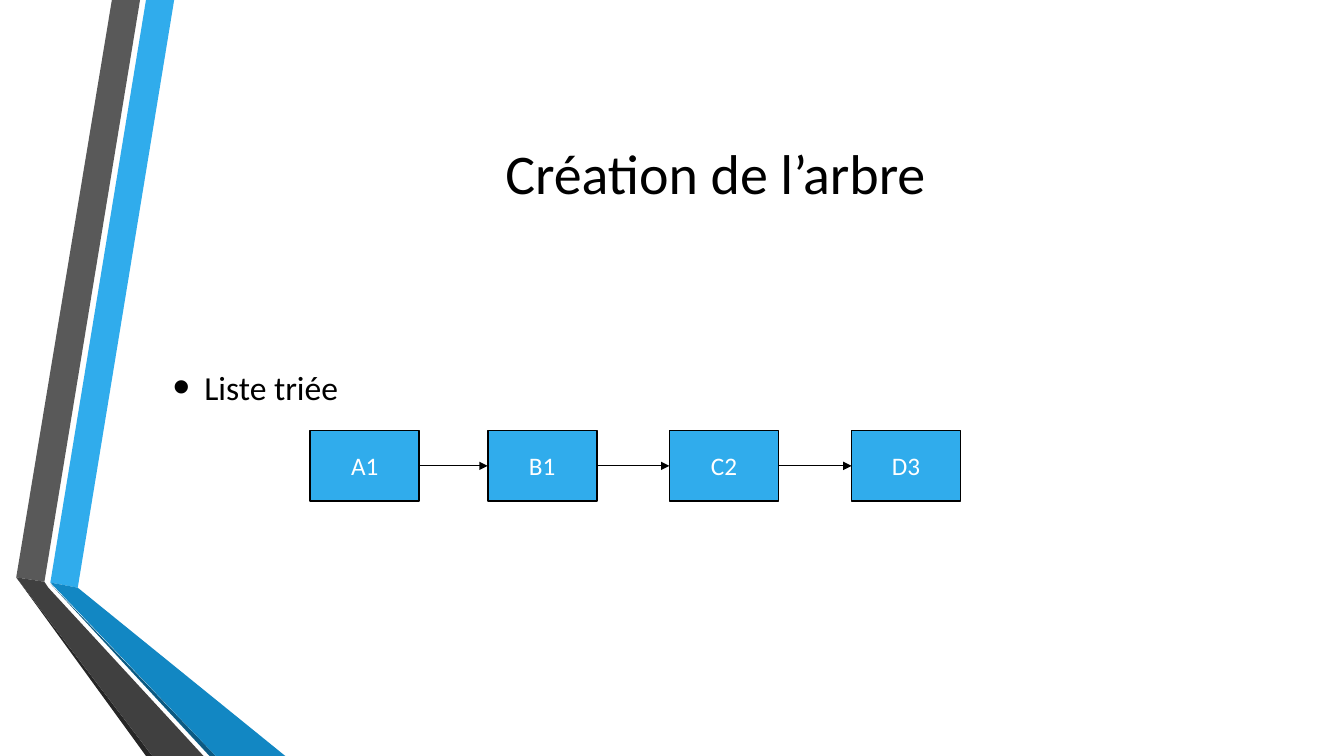
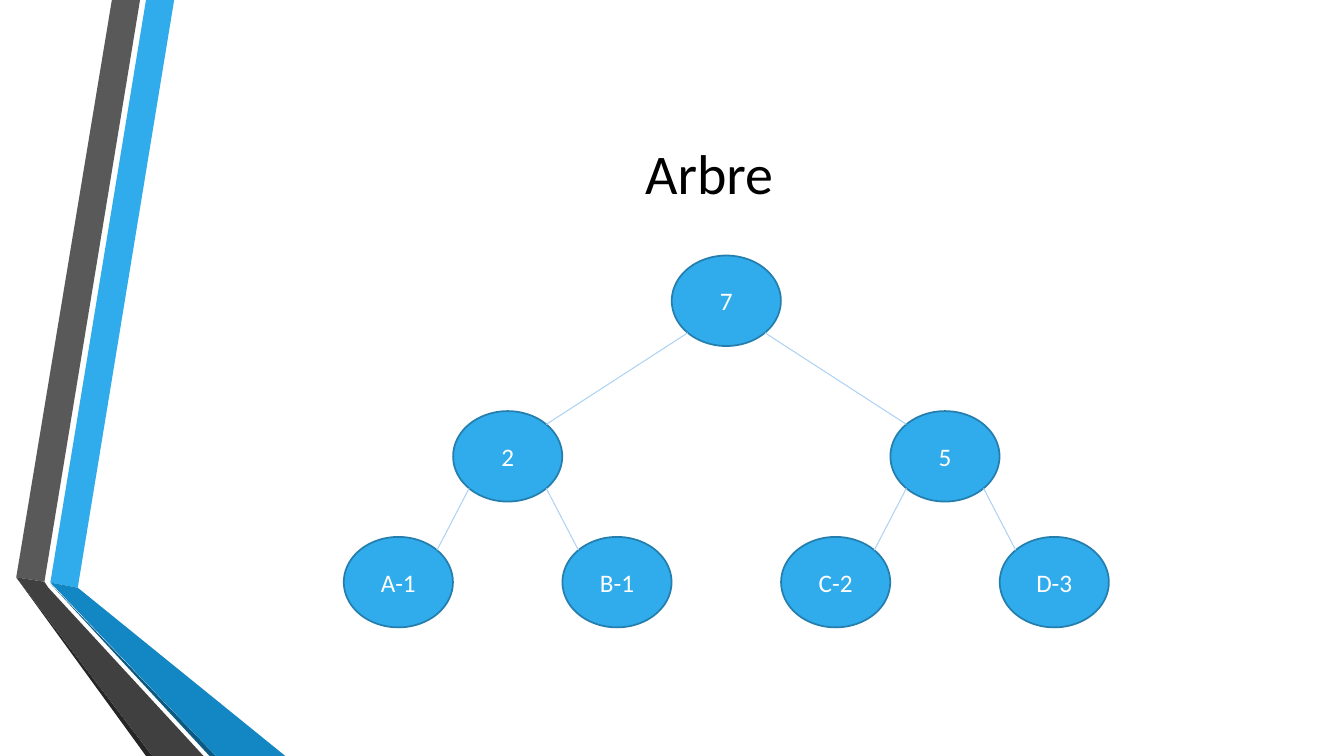
import math

import lxml.etree
import pptx
import pptx.dml.color
import pptx.enum.shapes
import pptx.enum.text
import pptx.oxml.ns
import pptx.util

Cm = pptx.util.Cm
Pt = pptx.util.Pt
qn = pptx.oxml.ns.qn
SHAPE = pptx.enum.shapes.MSO_SHAPE
ALIGN = pptx.enum.text.PP_ALIGN

FONT = "Calibri"
COLORS = {
    "black": "000000",
    "white": "FFFFFF",
    "blue": "30ACEC",
    "blue_outline": "247FAF",
    "blue_dark": "1287C3",
    "navy": "0C5A82",
    "pale_blue": "AED2F4",
    "grey": "595959",
    "charcoal": "404040",
    "near_black": "262626",
}
RGB = {name: pptx.dml.color.RGBColor.from_string(v) for name, v in COLORS.items()}

BANDS = [
    ("blue", [(1.27, 14.68), (1.96, 14.81), (4.39, 0), (3.68, 0)]),
    ("grey", [(3.53, 0), (2.82, 0), (0.41, 14.55), (1.12, 14.66)]),
    ("near_black", [(0.41, 14.55), (3.68, 19.05), (3.84, 19.05)]),
    ("navy", [(1.27, 14.71), (5.28, 19.05), (5.44, 19.05)]),
    ("blue_dark", [(1.27, 14.68), (5.44, 19.05), (7.19, 19.05), (1.96, 14.81)]),
    ("charcoal", [(5.13, 19.05), (1.22, 14.81), (1.12, 14.66), (0.41, 14.55), (3.84, 19.05)]),
]
LEFT, WIDTH = 4.11, 27.84


def write(sp, text, size, color, align):
    tf = sp.text_frame
    tf.word_wrap = True
    tf.vertical_anchor = pptx.enum.text.MSO_ANCHOR.MIDDLE
    p = tf.paragraphs[0]
    p.alignment = align
    r = p.add_run()
    r.text = text
    r.font.name = FONT
    r.font.size = Pt(size)
    r.font.color.rgb = RGB[color]
    return p


prs = pptx.Presentation()
prs.slide_width, prs.slide_height = Cm(33.87), Cm(19.05)

for title in ["Création de l’arbre", "Arbre "]:
    s = prs.slides.add_slide(prs.slide_layouts[6])
    for color, points in BANDS:
        first, *rest = [(Cm(x), Cm(y)) for x, y in points]
        builder = s.shapes.build_freeform(*first)
        builder.add_line_segments(rest)
        sp = builder.convert_to_shape()
        sp.shadow.inherit = False
        sp.fill.solid()
        sp.fill.fore_color.rgb = RGB[color]
        sp.line.fill.background()
    sp = s.shapes.add_textbox(Cm(LEFT), Cm(1.9), Cm(WIDTH), Cm(4.88))
    write(sp, title, 40, "black", ALIGN.CENTER)

list_slide, tree_slide = prs.slides

sp = list_slide.shapes.add_textbox(Cm(LEFT), Cm(9.1), Cm(WIDTH), Cm(1.3))
p = write(sp, "Liste triée", 24, "black", ALIGN.LEFT)
pPr = p._p.get_or_add_pPr()
pPr.set("marL", str(Cm(0.79)))
pPr.set("indent", str(-Cm(0.79)))
buClr = lxml.etree.SubElement(pPr, qn("a:buClr"))
lxml.etree.SubElement(buClr, qn("a:srgbClr"), val=COLORS["black"])
lxml.etree.SubElement(pPr, qn("a:buSzPct"), val="145000")
lxml.etree.SubElement(pPr, qn("a:buFont"), typeface="Arial")
lxml.etree.SubElement(pPr, qn("a:buChar"), char="•")

nodes, links = [], []

NODE_W, BOX_H, BOX_TOP = 2.75, 1.78, 10.85
box_lefts = [7.82, 12.29, 16.87, 21.46]
for left, text in zip(box_lefts, ["A1", "B1", "C2", "D3"]):
    nodes.append((list_slide, SHAPE.RECTANGLE, left, BOX_TOP, BOX_H, "black", text))
for left, following in zip(box_lefts, box_lefts[1:]):
    y = BOX_TOP + BOX_H / 2
    links.append((list_slide, left + NODE_W, y, following, y, "black", True))

OVAL_H, FIRST_LEAF, LEAF_PITCH = 2.28, 10.04, 5.51
LEVELS = [(7.58, ["7"]), (11.5, ["2", "5"]), (14.67, ["A-1", "B-1", "C-2", "D-3"])]
dx = NODE_W / 2 * math.cos(math.pi / 4)
dy = OVAL_H / 2 * math.sin(math.pi / 4)
leaf_count = len(LEVELS[-1][1])
parents = []
for y, labels in LEVELS:
    span = leaf_count / len(labels)
    centres = [(FIRST_LEAF + LEAF_PITCH * ((i + 0.5) * span - 0.5), y) for i in range(len(labels))]
    for i, ((x, y), text) in enumerate(zip(centres, labels)):
        nodes.append((tree_slide, SHAPE.OVAL, x - NODE_W / 2, y - OVAL_H / 2, OVAL_H, "blue_outline", text))
        if parents:
            px, py = parents[i // 2]
            side = math.copysign(dx, px - x)
            links.append((tree_slide, x + side, y - dy, px - side, py + dy, "pale_blue", False))
    parents = centres

for s, kind, left, top, height, outline, text in nodes:
    sp = s.shapes.add_shape(kind, Cm(left), Cm(top), Cm(NODE_W), Cm(height))
    sp.shadow.inherit = False
    sp.fill.solid()
    sp.fill.fore_color.rgb = RGB["blue"]
    sp.line.color.rgb = RGB[outline]
    sp.line.width = Pt(1.25)
    write(sp, text, 18, "white", ALIGN.CENTER)

for s, x1, y1, x2, y2, color, arrow in links:
    ends = [Cm(v) for v in (x1, y1, x2, y2)]
    line = s.shapes.add_connector(pptx.enum.shapes.MSO_CONNECTOR.STRAIGHT, *ends)
    line.line.color.rgb = RGB[color]
    line.line.width = Pt(0.75)
    spPr = line._element.spPr
    if arrow:
        lxml.etree.SubElement(spPr.find(qn("a:ln")), qn("a:tailEnd"), type="triangle")
    lxml.etree.SubElement(spPr, qn("a:effectLst"))

prs.save("out.pptx")
